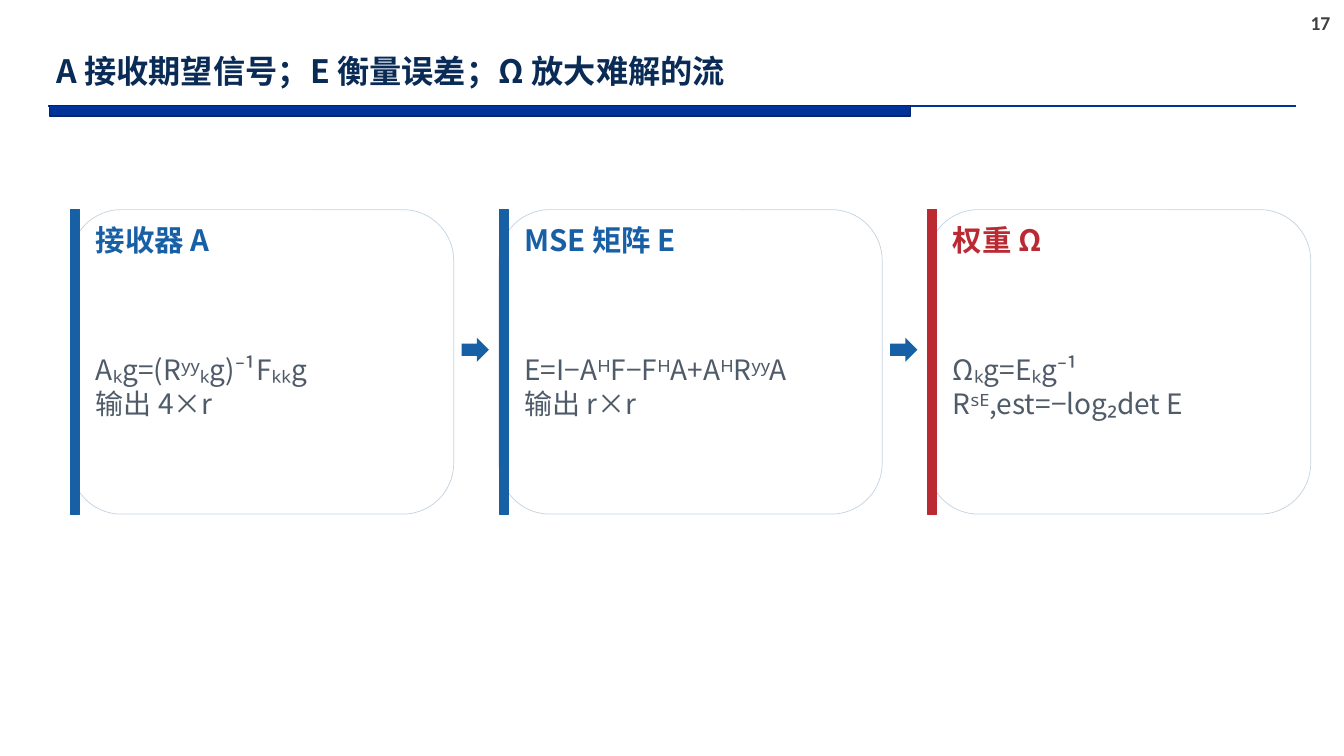
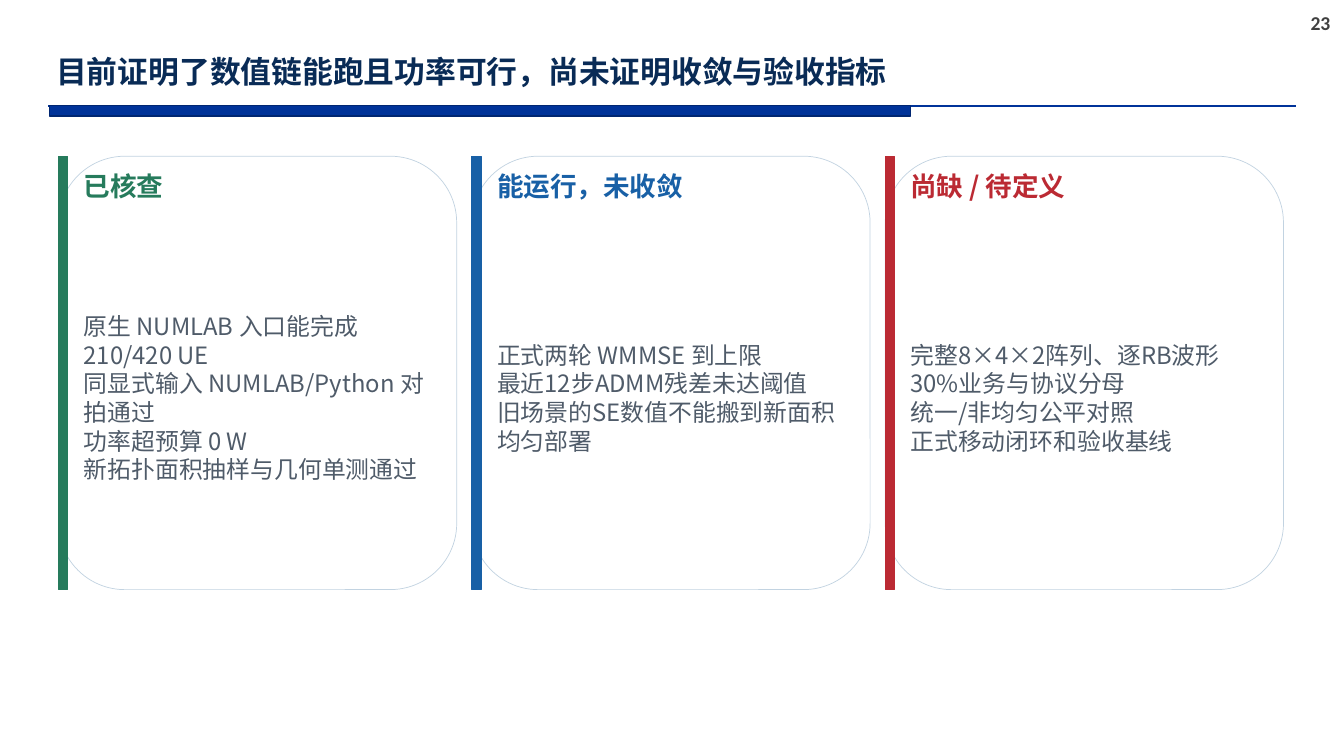
"""Build two slides of three accent cards under a shared title band."""
from lxml import etree
from pptx import Presentation
from pptx.dml.color import RGBColor
from pptx.enum.shapes import MSO_CONNECTOR, MSO_SHAPE
from pptx.enum.text import MSO_ANCHOR, PP_ALIGN
from pptx.oxml.ns import qn
from pptx.util import Inches, Pt

RECT = MSO_SHAPE.RECTANGLE
ROUNDED = MSO_SHAPE.ROUNDED_RECTANGLE
ARROW = MSO_SHAPE.RIGHT_ARROW
STRAIGHT = MSO_CONNECTOR.STRAIGHT
TOP, MIDDLE = MSO_ANCHOR.TOP, MSO_ANCHOR.MIDDLE
LEFT = PP_ALIGN.LEFT

COLORS = {
    "band": "003399", "band_edge": "002671", "number": "404040",
    "title": "092B56", "body": "4F5B69", "card": "FFFFFF",
    "card_edge": "C2D3E1", "blue": "1860A6", "red": "BB2A33",
    "green": "267B5C",
}
CJK_FONT = "Noto Sans CJK SC"
NUMBER_FONT = "Calibri"
ACCENT_WIDTH = 0.09
TEXT_INDENT = 0.2
CARD_INSET = 0.05
ARROW_SIZE = (0.27, 0.24)

SLIDES = [
    {
        "number": "17", "title": "A 接收期望信号；E 衡量误差；Ω 放大难解的流",
        "title_size": 23, "heading_size": 21, "body_size": 20,
        "origin": (0.7, 2.08), "card": (3.8, 3.02), "pitch": 4.25,
        "arrows": True,
        "cards": [
            ("接收器 A", "blue", ["Aₖg=(Rʸʸₖg)⁻¹Fₖₖg", "输出 4×r"]),
            ("MSE 矩阵 E", "blue", ["E=I−AᴴF−FᴴA+AᴴRʸʸA", "输出 r×r"]),
            ("权重 Ω", "red", ["Ωₖg=Eₖg⁻¹", "Rˢᴱ,est=−log₂det E"]),
        ],
    },
    {
        "number": "23", "title": "目前证明了数值链能跑且功率可行，尚未证明收敛与验收指标",
        "title_size": 22, "heading_size": 19, "body_size": 17,
        "origin": (0.58, 1.55), "card": (3.95, 4.3), "pitch": 4.1,
        "arrows": False,
        "cards": [
            ("已核查", "green", [
                "原生 NUMLAB 入口能完成210/420 UE",
                "同显式输入 NUMLAB/Python 对拍通过",
                "功率超预算 0 W",
                "新拓扑面积抽样与几何单测通过"]),
            ("能运行，未收敛", "blue", [
                "正式两轮 WMMSE 到上限",
                "最近12步ADMM残差未达阈值",
                "旧场景的SE数值不能搬到新面积均匀部署"]),
            ("尚缺 / 待定义", "red", [
                "完整8×4×2阵列、逐RB波形",
                "30%业务与协议分母",
                "统一/非均匀公平对照",
                "正式移动闭环和验收基线"]),
        ],
    },
]


def rgb(name):
    """Return the palette colour called name."""
    return RGBColor.from_string(COLORS[name])


def set_all(target, values):
    """Set every attribute in values on target."""
    for key, value in values.items():
        setattr(target, key, value)


def add_block(slide, kind, box, fill, edge=None, edge_width=0.5):
    """Add a filled preset shape with an optional outline."""
    block = slide.shapes.add_shape(kind, *map(Inches, box))
    block.shadow.inherit = False
    block.fill.solid()
    block.fill.fore_color.rgb = rgb(fill)
    if edge:
        block.line.color.rgb = rgb(edge)
        block.line.width = Pt(edge_width)
    else:
        block.line.fill.background()


def add_text(slide, box, lines, size, color, bold=False, font=CJK_FONT,
             inset=None, spacing=None, anchor=MIDDLE, wrap=True):
    """Add a text box with one paragraph per line."""
    frame = slide.shapes.add_textbox(*map(Inches, box)).text_frame
    set_all(frame, {"word_wrap": wrap, "vertical_anchor": anchor})
    if inset is not None:
        sides = ("left", "top", "right", "bottom")
        set_all(frame, {f"margin_{side}": Inches(inset) for side in sides})
    frame.text = "\n".join(lines)
    for paragraph in frame.paragraphs:
        set_all(paragraph, {"alignment": LEFT, "line_spacing": spacing})
        for run in paragraph.runs:
            set_all(run.font, {"name": font, "size": Pt(size), "bold": bold})
            run.font.color.rgb = rgb(color)
            latin = run.font._element.find(qn("a:latin"))
            east_asian = etree.Element(qn("a:ea"), typeface=font)
            latin.addnext(east_asian)


def add_frame(slide, content):
    """Add the rule, band, page number and title."""
    ends = map(Inches, (0.48, 1.05, 12.85, 1.05))
    rule = slide.shapes.add_connector(STRAIGHT, *ends)
    rule.line.color.rgb = rgb("band")
    rule.line.width = Pt(1.5)
    etree.SubElement(rule._element.spPr, qn("a:effectLst"))
    add_block(slide, RECT, (0.49, 1.05, 8.54, 0.1), "band", "band_edge", 1)
    add_text(slide, (12.9, 0.06, 0.4, 0.34), [content["number"]], 14,
             "number", bold=True, font=NUMBER_FONT, anchor=TOP, wrap=False)
    add_text(slide, (0.46, 0.4, 9.45, 0.65), [content["title"]],
             content["title_size"], "title", bold=True, spacing=0.9)


def add_card(slide, left, content, heading, accent, lines):
    """Add a rounded card with an accent bar, heading and body."""
    top = content["origin"][1]
    width, height = content["card"]
    text_left, text_width = left + TEXT_INDENT, width - 0.35
    add_block(slide, ROUNDED, (left, top, width, height), "card", "card_edge")
    add_block(slide, RECT, (left, top, ACCENT_WIDTH, height), accent, accent)
    add_text(slide, (text_left, top + 0.11, text_width, 0.37), [heading],
             content["heading_size"], accent, bold=True, inset=CARD_INSET)
    add_text(slide, (text_left, top + 0.59, text_width, height - 0.69), lines,
             content["body_size"], "body", inset=CARD_INSET)


def add_cards(slide, content):
    """Add the row of cards, with arrows between them if asked for."""
    left, top = content["origin"]
    width, height = content["card"]
    for index, card in enumerate(content["cards"]):
        card_left = left + index * content["pitch"]
        if index and content["arrows"]:
            arrow_left = card_left - 0.37
            arrow_top = top + height / 2 - 0.24
            add_block(slide, ARROW, (arrow_left, arrow_top, *ARROW_SIZE), "blue")
        add_card(slide, card_left, content, *card)


def main():
    """Build and save the presentation."""
    deck = Presentation()
    set_all(deck, {"slide_width": Inches(13.33), "slide_height": Inches(7.5)})
    blank = deck.slide_layouts[6]
    for content in SLIDES:
        slide = deck.slides.add_slide(blank)
        add_frame(slide, content)
        add_cards(slide, content)
    deck.save("out.pptx")


if __name__ == "__main__":
    main()
